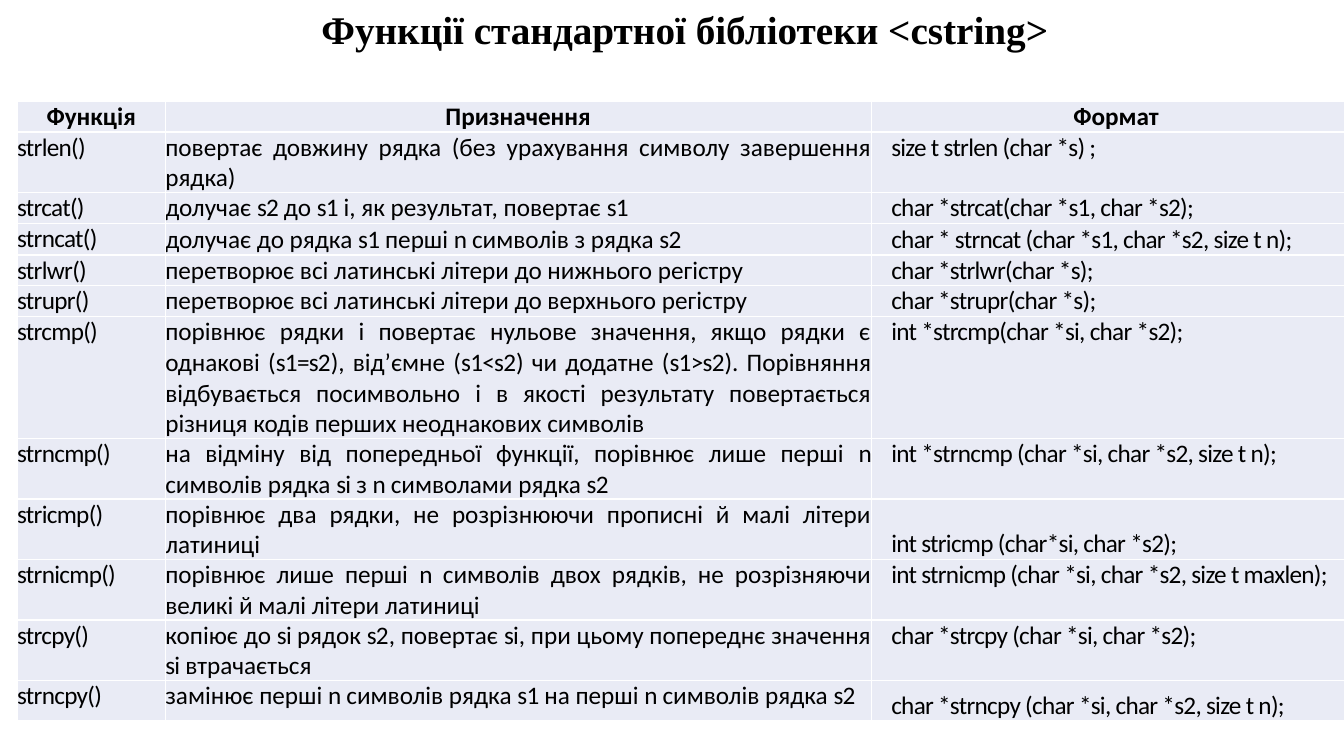
from lxml.etree import SubElement
from pptx import Presentation
from pptx.dml.color import RGBColor
from pptx.enum.text import MSO_ANCHOR as Anchor, MSO_AUTO_SIZE as AutoSize, PP_ALIGN as Align
from pptx.oxml.ns import qn
from pptx.util import Inches, Pt

BLACK = RGBColor(0x00, 0x00, 0x00)
WHITE = RGBColor(0xFF, 0xFF, 0xFF)
PALE_BLUE = RGBColor(0xE9, 0xEB, 0xF5)

TITLE = "Функції стандартної бібліотеки <сstring>"
HEADINGS = ("Функція", "Призначення", "Формат")
COLUMN_WIDTHS = (1.47, 7, 4.86)
ROW_HEIGHTS = (0.3, 0.6, 0.31, 0.31, 0.3, 0.31, 1.21, 0.6, 0.6, 0.6, 0.6, 0.4)
TOP_PURPOSES = {"strcat()", "strcpy()", "strncpy()"}
BOTTOM_FORMATS = {"strncat()", "stricmp()", "strncpy()"}
FUNCTIONS = (
    ("strlen()", "повертає довжину рядка (без урахування символу завершення рядка)",
     "size t strlen (char *s) ;"),
    ("strcat()", "долучає |s2 |до |s1 |і, як результат, повертає |s1",
     "char *strcat(char *s1, char *s2);"),
    ("strncat()", "долучає до рядка |s1 |перші |n |символів з рядка |s2",
     "char * strncat (char *s1, char *s2, size t n);"),
    ("strlwr()", "перетворює всі латинські літери до нижнього регістру",
     "char *strlwr(char *s);"),
    ("strupr()", "перетворює всі латинські літери до верхнього регістру",
     "char *strupr(char *s);"),
    ("strcmp()", "порівнює рядки і повертає нульове значення, якщо рядки є однакові "
     "(|s1=s2|), від’ємне (|s1<s2|) чи додатне (|s1>s2|). Порівняння відбувається "
     "посимвольно і в якості результату повертається різниця кодів перших "
     "неоднакових символів",
     "int *strcmp(char *si, char *s2);"),
    ("strncmp()", "на відміну від попередньої функції, порівнює лише перші |n |"
     "символів рядка |si |з |n |символами рядка |s2",
     "int *strncmp (char *si, char *s2, size t n);"),
    ("stricmp()", "порівнює два рядки, не розрізнюючи прописні й малі літери латиниці",
     "int stricmp (char*si, char *s2);"),
    ("strnicmp()", "порівнює лише перші |n |символів двох рядків, не розрізняючи "
     "великі й малі літери латиниці",
     "int strnicmp (char *si, char *s2, size t maxlen);"),
    ("strcpy()", "копіює до |si |рядок |s2|, повертає |si|, при цьому попереднє "
     "значення |si |втрачається",
     "char *strcpy (char *si, char *s2);"),
    ("strncpy()", "замінює перші |n |символів рядка |s1 |на перші |n |символів рядка |s2",
     "char *strncpy (char *si, char *s2, size t n);"),
)


def format_span(span, face, size, bold):
    """Set the typeface, size, weight and colour of a run."""
    span.font.name, span.font.size, span.font.bold = face, Pt(size), bold
    span.font.color.rgb = BLACK


def add_title(page, left, top, width, height):
    """Write the slide title in the given box."""
    box = page.shapes.add_textbox(*map(Inches, (left, top, width, height)))
    frame = box.text_frame
    frame.text = TITLE
    frame.word_wrap = False
    frame.auto_size = AutoSize.SHAPE_TO_FIT_TEXT
    format_span(frame.paragraphs[0].runs[0], "Times New Roman", 28, True)


def style_cell(cell, anchor):
    """Give a cell white edges, a pale fill and no margins."""
    cell.margin_left = cell.margin_right = cell.margin_top = cell.margin_bottom = 0
    cell.vertical_anchor = anchor
    properties = cell._tc.get_or_add_tcPr()
    for edge in ("a:lnL", "a:lnR", "a:lnT", "a:lnB"):
        line = SubElement(properties, qn(edge), w=str(Pt(1)))
        SubElement(SubElement(line, qn("a:solidFill")), qn("a:srgbClr"), val=str(WHITE))
    cell.fill.solid()
    cell.fill.fore_color.rgb = PALE_BLUE


def write_cell(cell, text, align, bold=False, indent=0):
    """Write text whose every second part, split at bars, is set tight."""
    para = cell.text_frame.paragraphs[0]
    para.alignment = align
    if indent:
        para._p.get_or_add_pPr().set("indent", str(Inches(indent)))
    for index, part in enumerate(text.split("|")):
        if part:
            span = para.add_run()
            span.text = part
            format_span(span, "Calibri", 18, bold)
            if index % 2:
                span.font._element.set("spc", "-50")


def add_function_table(page, left, top):
    """Place the table of string functions at the given corner."""
    size = (sum(COLUMN_WIDTHS), sum(ROW_HEIGHTS))
    table = page.shapes.add_table(len(ROW_HEIGHTS), len(COLUMN_WIDTHS),
                                  *map(Inches, (left, top, *size))).table
    table.first_row = table.horz_banding = False
    for column, width in zip(table.columns, COLUMN_WIDTHS):
        column.width = Inches(width)
    for row, height in zip(table.rows, ROW_HEIGHTS):
        row.height = Inches(height)
    for cell, heading in zip(table.rows[0].cells, HEADINGS):
        style_cell(cell, Anchor.BOTTOM)
        write_cell(cell, heading, Align.CENTER, bold=True)
    for number, (name, purpose, signature) in enumerate(FUNCTIONS, 1):
        at_bottom = (False, name not in TOP_PURPOSES, name in BOTTOM_FORMATS)
        texts = ("|" + name, purpose, "|" + signature)
        for cell, text, low, indent in zip(table.rows[number].cells, texts,
                                           at_bottom, (0, 0, 0.2)):
            style_cell(cell, Anchor.BOTTOM if low else Anchor.TOP)
            write_cell(cell, text, Align.JUSTIFY, indent=indent)


def main():
    """Build the slide and save the deck."""
    deck = Presentation()
    deck.slide_width, deck.slide_height = Inches(13.33), Inches(7.5)
    page = deck.slides.add_slide(deck.slide_layouts[6])
    add_title(page, 3.09, 0, 7.49, 0.57)
    add_function_table(page, 0.17, 1.01)
    deck.save("out.pptx")


if __name__ == "__main__":
    main()
